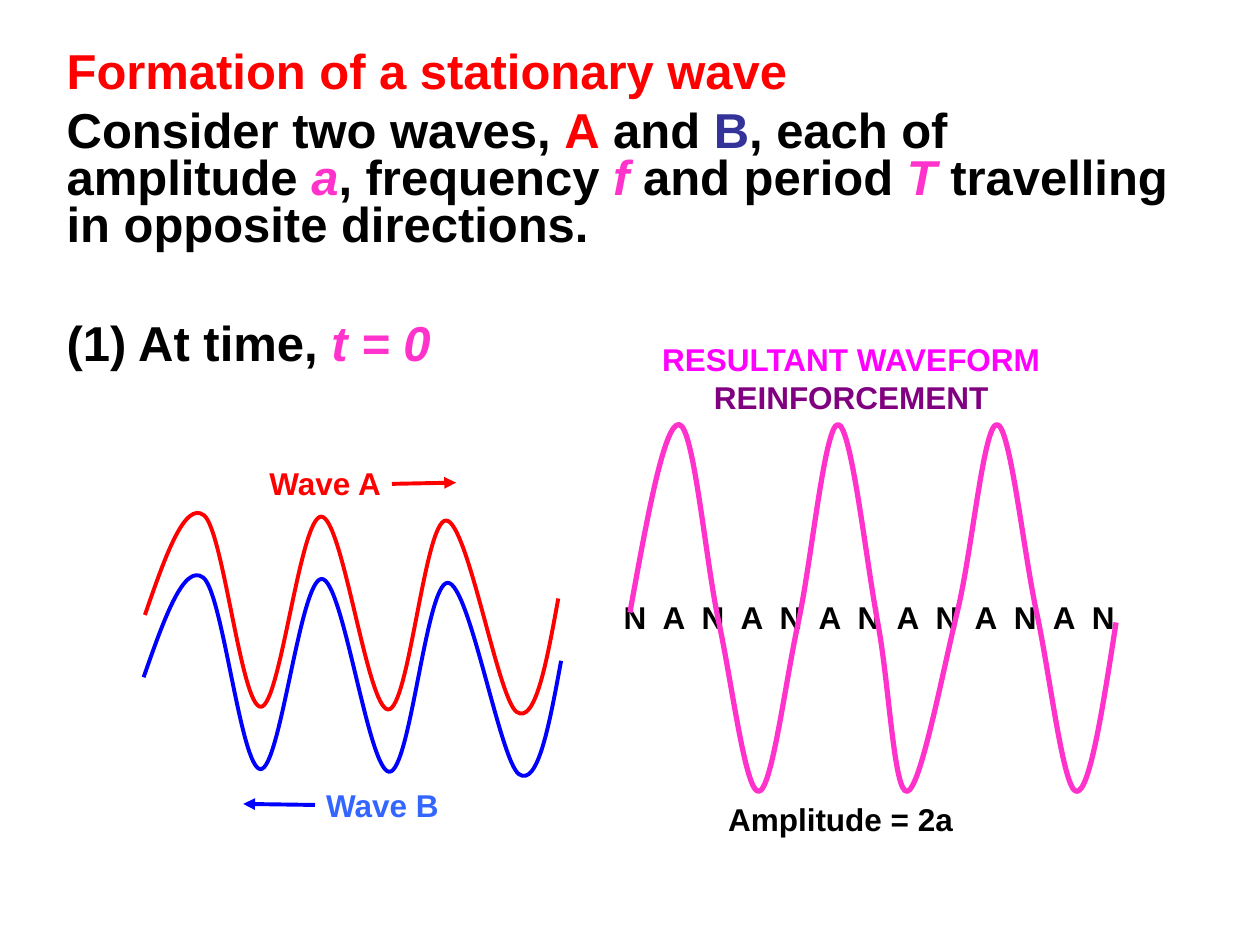
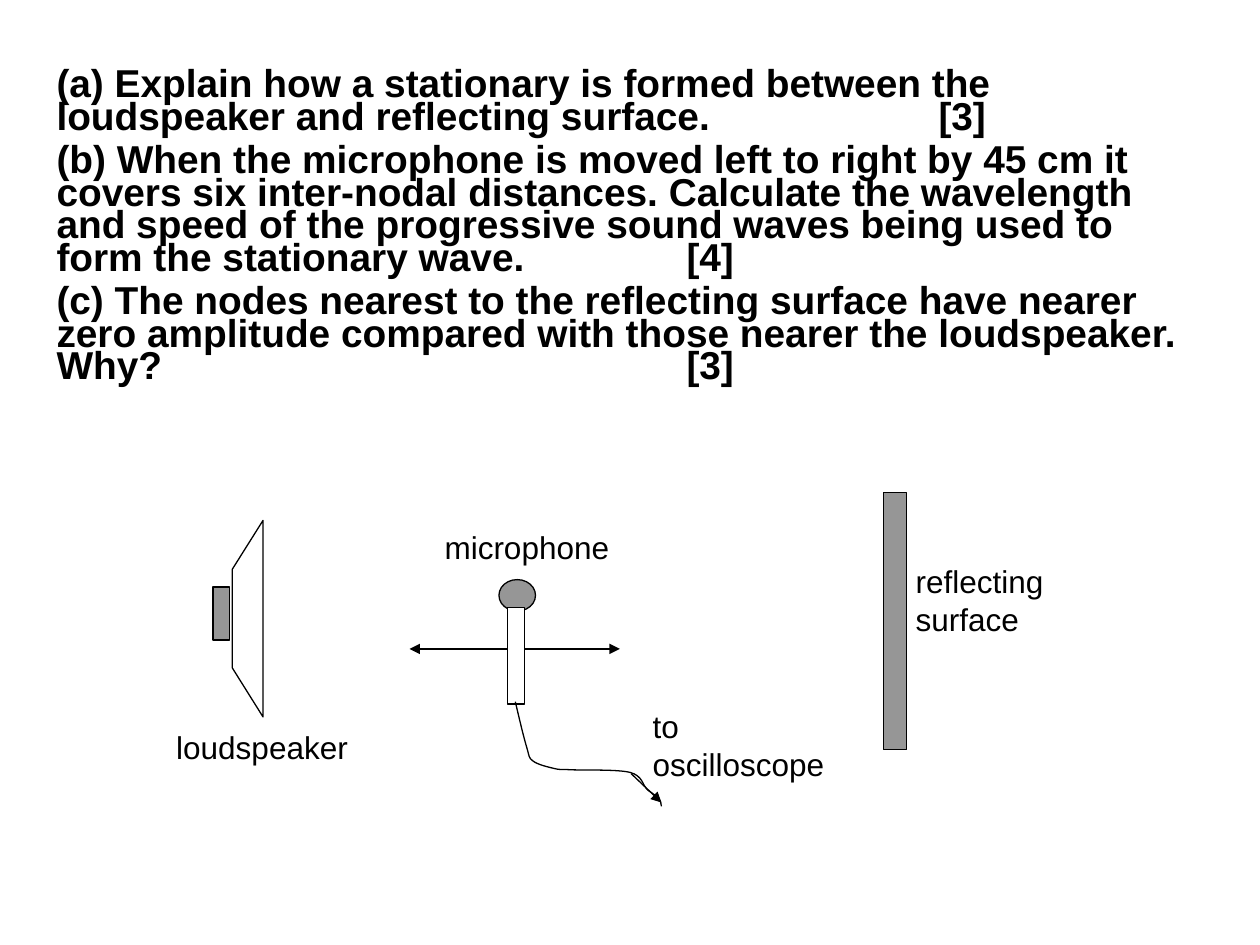
from lxml import etree
from pptx import Presentation
from pptx.dml.color import RGBColor
from pptx.enum.shapes import MSO_CONNECTOR, MSO_SHAPE
from pptx.enum.text import PP_ALIGN
from pptx.oxml.ns import qn
from pptx.util import Pt

LEFT, CENTER = PP_ALIGN.LEFT, PP_ALIGN.CENTER
RECT, OVAL = MSO_SHAPE.RECTANGLE, MSO_SHAPE.OVAL
STRAIGHT = MSO_CONNECTOR.STRAIGHT

FONT = "Arial"
COLORS = {
    "black": "000000", "white": "FFFFFF", "grey": "969696",
    "red": "FF0000", "blue": "0000FF", "sky": "3366FF", "indigo": "333399",
    "pink": "FF33CC", "magenta": "FF00FF", "purple": "800080",
}


def rgb(name):
    return RGBColor.from_string(COLORS[name])


def smooth_controls(knots):
    """Return the Bezier points of a smooth curve through the knots."""
    def shift(i, sign):
        (x0, y0), (x, y), (x1, y1) = knots[i - 1:i + 2]
        return x + sign * (x1 - x0) / 6, y + sign * (y1 - y0) / 6

    def middle(a, b):
        return (a[0] + b[0]) / 2, (a[1] + b[1]) / 2

    points, last = [], len(knots) - 1
    for i in range(last):
        c1 = shift(i, 1) if i > 0 else None
        c2 = shift(i + 1, -1) if i + 1 < last else None
        c1 = c1 or middle(knots[i], c2)
        c2 = c2 or middle(c1, knots[last])
        points += [c1, c2, knots[i + 1]]
    return points


class Deck:
    def __init__(self):
        self.prs = Presentation()
        self.prs.slide_width, self.prs.slide_height = Pt(720), Pt(540)
        self.s = None

    def slide(self):
        self.s = self.prs.slides.add_slide(self.prs.slide_layouts[6])

    def text(self, box, paragraphs, size=18, bold=False, align=LEFT,
             spacing=None, before=(), tabs=()):
        sp = self.s.shapes.add_textbox(*map(Pt, box))
        tf = sp.text_frame
        tf.word_wrap = True
        for i, runs in enumerate(paragraphs):
            p = tf.paragraphs[0] if i == 0 else tf.add_paragraph()
            p.alignment = align
            if spacing:
                p.line_spacing = spacing
            if i and before:
                p.space_before = Pt(before[i - 1])
            if tabs:
                tab_list = etree.SubElement(p._p.get_or_add_pPr(), qn("a:tabLst"))
                for pos in tabs[i]:
                    etree.SubElement(tab_list, qn("a:tab"), pos=str(Pt(pos)), algn="l")
            for content, color, *italic in runs:
                r = p.add_run()
                r.text = content
                r.font.name, r.font.size = FONT, Pt(size)
                r.font.bold, r.font.italic = bold, bool(italic)
                r.font.color.rgb = rgb(color)

    def label(self, box, content, color="black", bold=False):
        self.text(box, [[(content, color)]], bold=bold)

    def paint(self, sp, fill, line, width):
        sp.shadow.inherit = False
        if fill:
            sp.fill.solid()
            sp.fill.fore_color.rgb = rgb(fill)
        else:
            sp.fill.background()
        sp.line.color.rgb = rgb(line)
        sp.line.width = Pt(width)

    def shape(self, kind, box, fill):
        sp = self.s.shapes.add_shape(kind, *map(Pt, box))
        self.paint(sp, fill, "black", 0.75)

    def outline(self, points, fill=None, line="black", width=0.75, close=False):
        (x, y), *rest = [(Pt(x), Pt(y)) for x, y in points]
        builder = self.s.shapes.build_freeform(x, y)
        builder.add_line_segments(rest, close=close)
        sp = builder.convert_to_shape()
        self.paint(sp, fill, line, width)
        return sp

    def curve(self, knots, line="black", width=0.75):
        sp = self.outline([knots[0]] + smooth_controls(knots), line=line, width=width)
        segments = list(sp.element.iter(qn("a:lnTo")))
        parent = segments[0].getparent()
        for i in range(0, len(segments), 3):
            bezier = etree.SubElement(parent, qn("a:cubicBezTo"))
            for segment in segments[i:i + 3]:
                bezier.append(segment[0])
                parent.remove(segment)

    def arrow(self, start, end, color="black", width=0.75, ends=("tailEnd",)):
        cx = self.s.shapes.add_connector(STRAIGHT, *map(Pt, start + end))
        cx.line.color.rgb = rgb(color)
        cx.line.width = Pt(width)
        sp_pr = cx.element.spPr
        for tag in ends:
            etree.SubElement(sp_pr.find(qn("a:ln")), qn("a:" + tag), type="triangle")
        etree.SubElement(sp_pr, qn("a:effectLst"))


def formation_slide(deck):
    deck.slide()
    deck.text((31, 26, 646.5, 199), [
        [("Formation of a stationary wave", "red")],
        [("Consider two waves, ", "black"), ("A", "red"), (" and ", "black"),
         ("B", "indigo"), (", each of amplitude ", "black"), ("a", "pink", True),
         (", frequency ", "black"), ("f ", "pink", True), ("and period ", "black"),
         ("T ", "pink", True), ("travelling in opposite directions.", "black")],
        [("(1) At time, ", "black"), ("t = 0", "pink", True)],
    ], size=28, bold=True, spacing=0.8, before=(7, 41))

    deck.label((179.3, 445.7, 86.4, 39.6), "Wave B", "sky", True)
    deck.arrow((180, 460), (139, 459.4), "blue", 2.25)
    deck.label((409, 453.6, 160.6, 33), "Amplitude = 2a", bold=True)

    wave_a = [(82.8, 351.4), (116.6, 294.5), (149, 403.9), (183.6, 295.2),
              (221.8, 405.4), (254.9, 297.4), (295.2, 406.8), (319, 342)]
    wave_b = [(82.1 + 1.01 * (x - 82.8), y + 35.6) for x, y in wave_a]
    deck.curve(wave_b, "blue", 2.25)
    deck.curve(wave_a, "red", 2.25)
    deck.label((146.9, 261.4, 86.4, 39.6), "Wave A", "red", True)
    deck.arrow((224, 276.5), (260.6, 275.8), "red", 2.25)

    deck.text((365.8, 190.8, 241.2, 57.6),
              [[("RESULTANT WAVEFORM", "magenta")], [("REINFORCEMENT", "purple")]],
              bold=True, align=CENTER)
    letters = "\t".join("NANANANANANAN")
    deck.text((349.2, 338.4, 322.6, 49.7), [[(letters, "black")]], bold=True,
              tabs=[[22.3 * k for k in range(1, 13)]])

    crest, trough, high, low = 242.6, 452.2, 350, 355.7
    heights = [crest, low, trough, low, crest, low, trough, high,
               crest, high, trough, low]
    resultant = [(360, high)] + [(388.1 + 22.7 * k, y) for k, y in enumerate(heights)]
    resultant[7] = (518.4, trough)
    deck.curve(resultant, "pink", 3)


def question_slide(deck):
    deck.slide()
    questions = [
        "(a) Explain how a stationary is formed between the loudspeaker and "
        "reflecting surface.\t[3]",
        "(b) When the microphone is moved left to right by 45 cm it covers six "
        "inter-nodal distances. Calculate the wavelength and speed of the "
        "progressive sound waves being used to form the stationary wave.\t[4]",
        "(c) The nodes nearest to the reflecting surface have nearer zero amplitude "
        "compared with those nearer the loudspeaker. Why?\t[3]",
    ]
    deck.text((25.2, 37.4, 668.9, 198.7), [[(q, "black")] for q in questions],
              size=22.2, bold=True, spacing=0.7, before=(6, 6),
              tabs=[[504], [360], [360]])

    deck.arrow((234, 370.8), (354.2, 370.8), ends=("headEnd", "tailEnd"))
    deck.shape(RECT, (121.7, 335.5, 9.4, 30.2), "grey")
    deck.outline([(150.3, 297.4), (150.3, 409.7), (132.7, 381.6), (132.7, 325.4)],
                 fill="white", close=True)
    deck.shape(OVAL, (285.1, 331.2, 20.9, 18), "grey")
    deck.shape(RECT, (290.2, 347, 9.4, 55.4), "white")
    deck.curve([(294.5, 401), (301, 427), (304.6, 434.9), (316.8, 439.2),
                (326.2, 439.9), (360, 441.4), (369.4, 450.7), (372.2, 452.9),
                (376.6, 456.5), (378, 460.8)])
    deck.arrow((360.7, 442.1), (378, 458.6))
    deck.shape(RECT, (504.7, 281.5, 13.5, 146.9), "grey")

    deck.label((365.8, 400.3, 130.3, 51.8), "to oscilloscope")
    deck.label((247, 298.1, 118.1, 42.5), "microphone")
    deck.label((516.2, 317.5, 104.4, 86.4), "reflecting surface")
    deck.label((93.6, 412.6, 113.8, 42.5), "loudspeaker")


def main():
    deck = Deck()
    formation_slide(deck)
    question_slide(deck)
    deck.prs.save("out.pptx")


if __name__ == "__main__":
    main()
